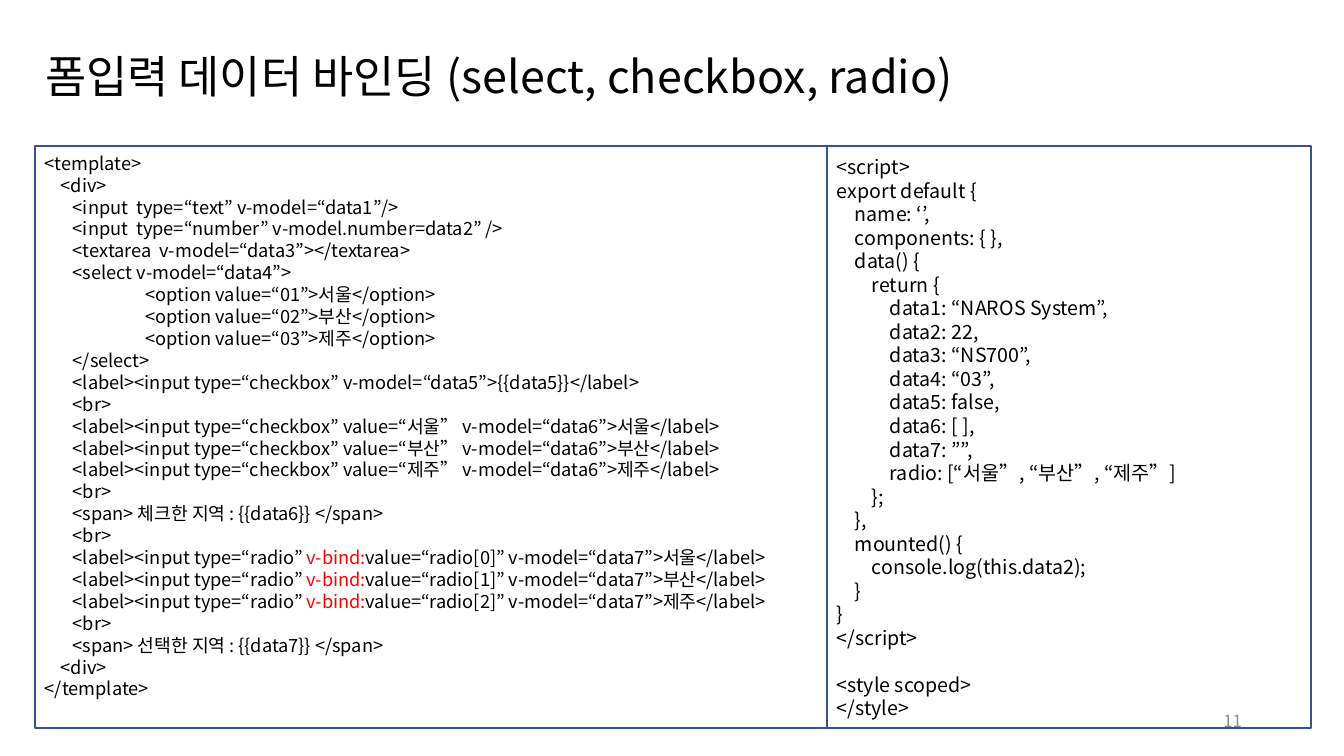
from pptx import Presentation
from pptx import util as u
from pptx.dml.color import RGBColor
from pptx.enum import shapes, text
from pptx.oxml.ns import qn
from lxml import etree

FONT = "Noto Sans CJK KR"
BLACK, RED, GRAY, BLUE = "000000", "FF0000", "8C8C8C", "325491"
DIRECTIVE = "v-bind:"
CITIES = ["서울", "부산", "제주"]

TEMPLATE = [
    (0, "<template>"),
    (16, "<div>"),
    (28, "<input  type=“text” v-model=“data1”/>"),
    (28, "<input  type=“number” v-model.number=data2” />"),
    (28, "<textarea  v-model=“data3”></textarea>"),
    (28, "<select v-model=“data4”>"),
    *[(101, f"<option value=“0{i}”>{city}</option>") for i, city in enumerate(CITIES, 1)],
    (28, "</select>"),
    (28, "<label><input type=“checkbox” v-model=“data5”>{{data5}}</label>"),
    (28, "<br>"),
    *[(28, f"<label><input type=“checkbox” value=“{city}” v-model=“data6”>{city}</label>")
      for city in CITIES],
    (28, "<br>"),
    (28, "<span> 체크한 지역 : {{data6}} </span>"),
    (28, "<br>"),
    *[(28, f"<label><input type=“radio” v-bind:value=“radio[{i}]” v-model=“data7”>{city}</label>")
      for i, city in enumerate(CITIES)],
    (28, "<br>"),
    (28, "<span> 선택한 지역 : {{data7}} </span>"),
    (16, "<div>"),
    (0, "</template>"),
]

SCRIPT = [
    (0, "<script>"),
    (0, "export default {"),
    (18, "name: ‘’,"),
    (18, "components: { },"),
    (18, "data() {"),
    (35, "return {"),
    (53, "data1: “NAROS System”,"),
    (53, "data2: 22,"),
    (53, "data3: “NS700”,"),
    (53, "data4: “03”,"),
    (53, "data5: false,"),
    (53, "data6: [ ],"),
    (53, "data7: ””,"),
    (53, "radio: [“서울”, “부산”, “제주”]"),
    (35, "};"),
    (18, "},"),
    (18, "mounted() {"),
    (35, "console.log(this.data2);"),
    (18, "}"),
    (0, "}"),
    (0, "</script>"),
]

STYLE = [(0, "<style scoped>"), (0, "</style>")]


def px(n):
    return u.Emu(round(n * 914400 / 100.8))


def rgb(value):
    return RGBColor.from_string(value)


def format_run(r, size, color):
    r.font.name = FONT
    r.font.size = u.Pt(size)
    r.font.color.rgb = rgb(color)
    ea = etree.SubElement(r.font._element, qn("a:ea"))
    ea.set("typeface", FONT)


def add_title(s, title, x, y, w, h):
    sp = s.shapes.title
    sp.left, sp.top, sp.width, sp.height = px(x), px(y), px(w), px(h)
    tf = sp.text_frame
    tf.text = title
    tf.vertical_anchor = text.MSO_ANCHOR.MIDDLE
    p = tf.paragraphs[0]
    p.alignment = text.PP_ALIGN.LEFT
    p.line_spacing = 0.9
    format_run(p.runs[0], 32, BLACK)


def add_page_number(s, number, x, y, w, h):
    tf = s.shapes.add_textbox(px(x), px(y), px(w), px(h)).text_frame
    tf.word_wrap = True
    tf.vertical_anchor = text.MSO_ANCHOR.MIDDLE
    tf.text = number
    p = tf.paragraphs[0]
    p.alignment = text.PP_ALIGN.RIGHT
    format_run(p.runs[0], 12, GRAY)


def add_code_line(p, indent, code, size, pitch):
    p.alignment = text.PP_ALIGN.LEFT
    p.line_spacing = u.Pt(pitch)
    p._p.get_or_add_pPr().set("marL", str(px(indent)))
    before, directive, after = code.partition(DIRECTIVE)
    for part, color in ((before, BLACK), (directive, RED), (after, BLACK)):
        if part:
            r = p.add_run()
            r.text = part
            format_run(r, size, color)


def add_code_panel(s, blocks, x, y, w, h, size, pitch, inset):
    sp = s.shapes.add_shape(shapes.MSO_SHAPE.RECTANGLE, px(x), px(y), px(w), px(h))
    sp.shadow.inherit = False
    sp.fill.background()
    sp.line.color.rgb = rgb(BLUE)
    sp.line.width = u.Pt(1)
    tf = sp.text_frame
    tf.word_wrap = True
    tf.vertical_anchor = text.MSO_ANCHOR.TOP
    tf.margin_top = px(inset)
    p = tf.paragraphs[0]
    for b, block in enumerate(blocks):
        for i, (indent, code) in enumerate(block):
            if b or i:
                p = tf.add_paragraph()
            if b and i == 0:
                p.space_before = u.Pt(pitch)
            add_code_line(p, indent, code, size, pitch)


def main():
    prs = Presentation()
    prs.slide_width, prs.slide_height = px(1344), px(756)
    s = prs.slides.add_slide(prs.slide_layouts[5])
    add_title(s, "폼입력 데이터 바인딩 (select, checkbox, radio)", 35, 40, 1276, 78)
    add_page_number(s, "11", 950, 701, 302, 40)
    add_code_panel(s, [TEMPLATE], 35, 146, 792, 582, 13, 15.65, 6)
    add_code_panel(s, [SCRIPT, STYLE], 827, 146, 484, 582, 14, 16.8, 9)
    prs.save("out.pptx")


if __name__ == "__main__":
    main()
